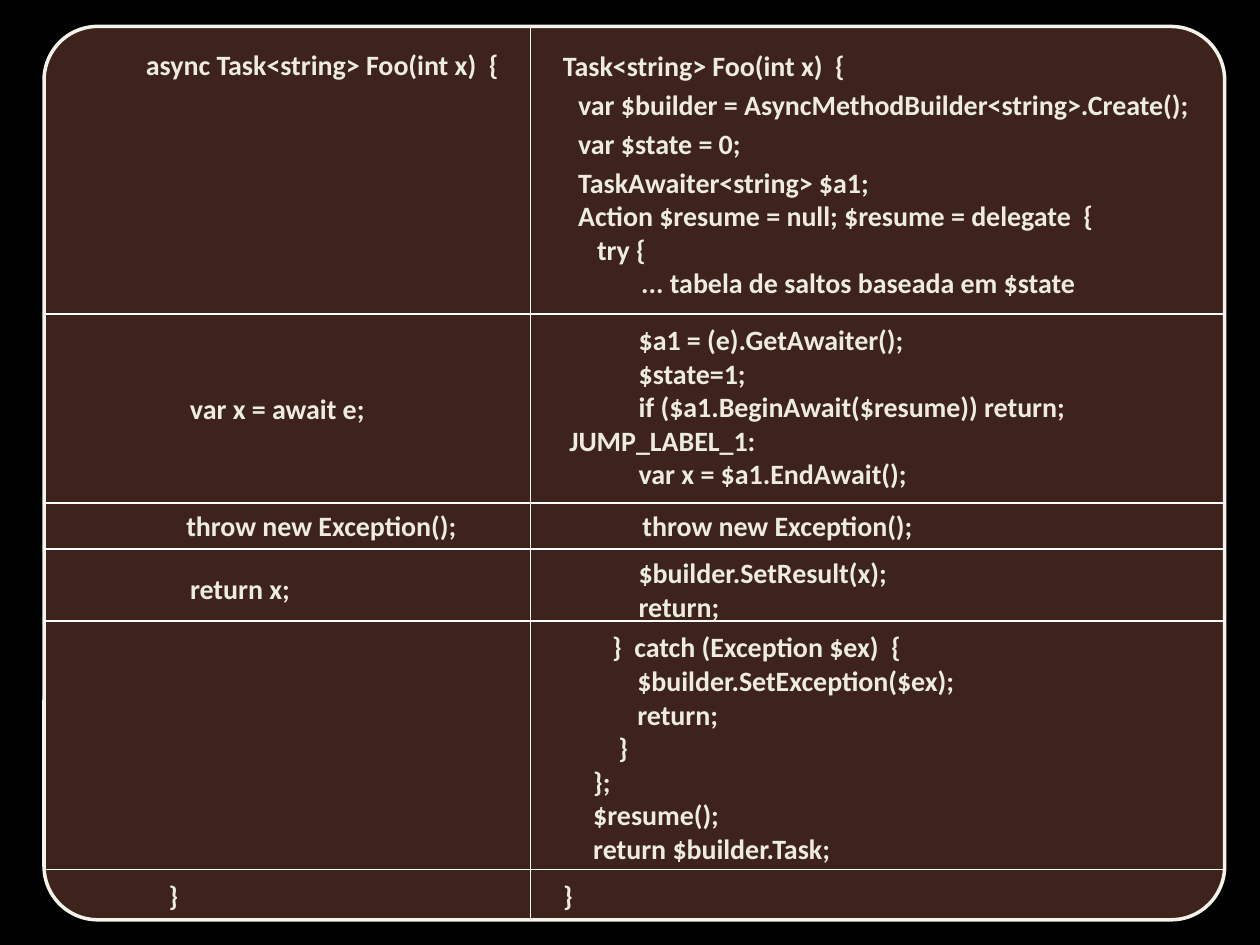
"""Build a slide that sets async code beside its compiled state machine."""
from lxml.etree import SubElement
from pptx import Presentation
from pptx.dml.color import RGBColor
from pptx.enum.shapes import MSO_CONNECTOR, MSO_SHAPE
from pptx.enum.text import MSO_AUTO_SIZE
from pptx.oxml.ns import qn
from pptx.util import Inches, Pt

COLORS = {"background": "000000", "panel": "BD6C57", "border": "F4F3EB",
          "rule": "FFFFFF", "text": "EEECE1"}
FONT, FONT_SIZE = "Calibri", 16
INDENT_STEP = 0.05
LOOSE = 1.15
LEFT, TOP, RIGHT, BOTTOM = 0.35, 0.21, 9.72, 7.3
DIVIDER = 4.21
ROW_RULES = [2.49, 3.99, 4.36, 4.93, 6.9]

# Each block: left, top, width, height, wrap, lines of (indent steps, spacing, text)
BLOCKS = [
    (1.06, 0.29, 3.04, 0.39, False, [(0, LOOSE, "async Task<string> Foo(int x)  {")]),
    (1.41, 3.06, 1.6, 0.37, False, [(0, 1, "var x = await e;")]),
    (1.38, 3.99, 2.68, 0.37, True, [(0, 1, "throw new Exception();")]),
    (1.41, 4.49, 2.68, 0.37, True, [(0, 1, "return x;")]),
    (1.24, 6.92, 2.68, 0.37, True, [(0, 1, "}")]),
    (4.37, 0.3, 2.47, 0.39, False, [(0, LOOSE, "Task<string> Foo(int x)  {")]),
    (4.39, 0.61, 5.41, 1.84, True, [
        (2, LOOSE, "var $builder = AsyncMethodBuilder<string>.Create();"),
        (2, LOOSE, "var $state = 0;"),
        (2, LOOSE, "TaskAwaiter<string> $a1;"),
        (2, 1, "Action $resume = null; $resume = delegate \u00a0{"),
        (5, 1, "try {"),
        (12, 1, "... tabela de saltos baseada em $state")]),
    (4.37, 2.51, 5.51, 1.48, True, [
        (12, 1, "$a1 = (e).GetAwaiter();"),
        (12, 1, "$state=1;"),
        (12, 1, "if ($a1.BeginAwait($resume)) return;"),
        (1, 1, "JUMP_LABEL_1:"),
        (12, 1, "var x = $a1.EndAwait();")]),
    (5, 3.99, 2.68, 0.37, True, [(0, 1, "throw new Exception();")]),
    (4.92, 4.36, 5, 0.64, True, [
        (1, 1, "$builder.SetResult(x);"),
        (1, 1, "return;")]),
    (4.61, 4.95, 5.12, 1.99, True, [
        (3, 1, "}  catch (Exception $ex)  {"),
        (7, 1, "$builder.SetException($ex);"),
        (7, 1, "return;"),
        (4, 1, "}"),
        (0, 1, "};"),
        (0, 1, "$resume();"),
        (0, 1, "return $builder.Task;")]),
    (4.37, 6.92, 2.68, 0.37, True, [(0, 1, "}")]),
]


def color(name):
    return RGBColor.from_string(COLORS[name])


def add_panel(slide):
    panel = slide.shapes.add_shape(
        MSO_SHAPE.ROUNDED_RECTANGLE, Inches(LEFT), Inches(TOP),
        Inches(RIGHT - LEFT), Inches(BOTTOM - TOP))
    panel.adjustments[0] = 0.06
    panel.shadow.inherit = False
    panel.fill.solid()
    panel.fill.fore_color.rgb = color("panel")
    fill_color = panel.fill._xPr.find(qn("a:solidFill"))[0]
    SubElement(fill_color, qn("a:alpha")).set("val", "33000")
    panel.line.color.rgb = color("border")
    panel.line.width = Pt(2)


def add_rule(slide, *ends):
    rule = slide.shapes.add_connector(MSO_CONNECTOR.STRAIGHT, *map(Inches, ends))
    rule.line.color.rgb = color("rule")
    rule.line.width = Pt(1)
    SubElement(rule._element.spPr, qn("a:effectLst"))


def add_code(slide, left, top, width, height, wrap, lines):
    box = slide.shapes.add_textbox(*map(Inches, (left, top, width, height)))
    text_frame = box.text_frame
    text_frame.word_wrap = wrap
    text_frame.auto_size = MSO_AUTO_SIZE.SHAPE_TO_FIT_TEXT
    text_frame.text = "\n".join(text for _, _, text in lines)
    for paragraph, (steps, spacing, _) in zip(text_frame.paragraphs, lines):
        paragraph.line_spacing = spacing
        properties = paragraph._p.get_or_add_pPr()
        properties.set("marL", str(Inches(steps * INDENT_STEP)))
        font = paragraph.runs[0].font
        font.name, font.size, font.bold = FONT, Pt(FONT_SIZE), True
        font.color.rgb = color("text")


presentation = Presentation()
presentation.slide_width, presentation.slide_height = Inches(10), Inches(7.5)
slide = presentation.slides.add_slide(presentation.slide_layouts[6])
slide.background.fill.solid()
slide.background.fill.fore_color.rgb = color("background")

add_panel(slide)
for height in ROW_RULES:
    add_rule(slide, LEFT, height, RIGHT, height)
add_rule(slide, DIVIDER, TOP, DIVIDER, BOTTOM)
for block in BLOCKS:
    add_code(slide, *block)

presentation.save("out.pptx")
